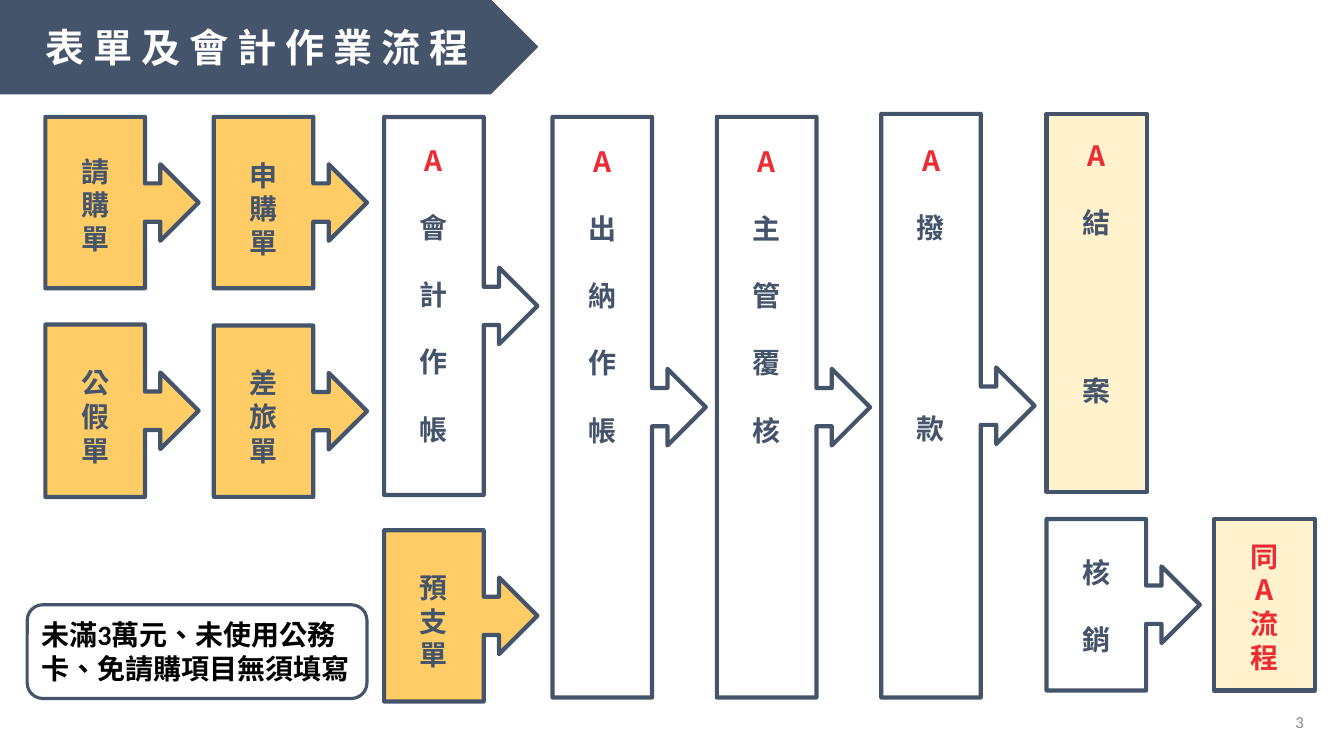
"""Build the slide on forms and the accounting workflow."""
from lxml import etree
from pptx import Presentation
from pptx.dml.color import RGBColor
from pptx.enum.shapes import MSO_SHAPE
from pptx.enum.text import MSO_ANCHOR, PP_ALIGN
from pptx.oxml.ns import qn
from pptx.util import Inches, Pt

COLORS = {"navy": "44546A", "gold": "FFCC66", "cream": "FFF2CC", "white": "FFFFFF",
          "red": "EC2B32", "black": "000000", "gray": "8C8C8C"}
CJK, LATIN = "Noto Sans CJK SC", "Calibri"
TITLE = "表 單 及 會 計 作 業 流 程"
NOTE = ["未滿3萬元、未使用公務", "卡、免請購項目無須填寫"]
PAGE_NUMBER = "3"
ARROW, PLAIN = MSO_SHAPE.RIGHT_ARROW_CALLOUT, MSO_SHAPE.RECTANGLE
WIDTHS = {ARROW: 1.52, PLAIN: 1}
COLUMNS = [0.45, 2.12, 3.81, 5.48, 7.11, 8.74, 10.38, 12.04]
LINE_POINTS = 24
HALF_LINE = 0.15

# shape, column, top, height, fill, first glyph centre, text, red letters, blank lines between
STEPS = [
    (ARROW, 0, 1.16, 1.70, "gold", 1.68, "請購單", 0, (0, 0)),
    (ARROW, 1, 1.16, 1.70, "gold", 1.72, "申購單", 0, (0, 0)),
    (ARROW, 1, 3.23, 1.70, "gold", 3.78, "差旅單", 0, (0, 0)),
    (ARROW, 0, 3.22, 1.71, "gold", 3.78, "公假單", 0, (0, 0)),
    (ARROW, 2, 5.26, 1.70, "gold", 5.81, "預支單", 0, (0, 0)),
    (ARROW, 2, 1.16, 3.75, "white", 1.57, "A會計作帳", 1, (1, 1, 1, 1)),
    (ARROW, 3, 1.16, 5.76, "white", 1.58, "A出納作帳", 1, (1, 1, 1, 1)),
    (ARROW, 4, 1.16, 5.76, "white", 1.58, "A主管覆核", 1, (1, 1, 1, 1)),
    (ARROW, 5, 1.13, 5.79, "white", 1.57, "A撥款", 1, (1, 5)),
    (PLAIN, 6, 1.13, 3.75, "cream", 1.52, "A結案", 1, (1, 4)),
    (ARROW, 6, 5.15, 1.70, "white", 5.66, "核銷", 0, (1,)),
    (PLAIN, 7, 5.15, 1.70, "cream", 5.50, "同A流程", 4, (0, 0, 0)),
]


def color(name):
    return RGBColor.from_string(COLORS[name])


def style(para, size, tint, face, bold=True, align=PP_ALIGN.CENTER):
    para.alignment = align
    for span in para.runs:
        font = span.font
        font.size, font.bold, font.name = Pt(size), bold, face
        font.color.rgb = color(tint)
        properties = span._r.get_or_add_rPr()
        properties.set("lang", "zh-TW")
        etree.SubElement(properties, qn("a:ea")).set("typeface", CJK)


def add_panel(page, kind, place, fill, line_points):
    shape = page.shapes.add_shape(kind, *map(Inches, place))
    shape.shadow.inherit = False
    if fill:
        shape.fill.solid()
        shape.fill.fore_color.rgb = color(fill)
    else:
        shape.fill.background()
    shape.line.color.rgb = color("navy")
    shape.line.width = Pt(line_points)
    return shape


def add_step(page, kind, column, top, height, fill, centre, text, red_letters, gaps):
    place = (COLUMNS[column], top, WIDTHS[kind], height)
    frame = add_panel(page, kind, place, fill, 3).text_frame
    frame.vertical_anchor = MSO_ANCHOR.TOP
    frame.margin_top, frame.margin_bottom = Inches(centre - HALF_LINE - top), 0
    frame.text = "\n".join(text)
    for index, (para, gap) in enumerate(zip(frame.paragraphs, (0, *gaps))):
        para.line_spacing = Pt(LINE_POINTS)
        para.space_before = Pt(gap * LINE_POINTS)
        style(para, 20, "red" if index < red_letters else "navy", CJK)


def add_title(page):
    add_panel(page, MSO_SHAPE.PENTAGON, (0, 0, 5.33, 0.93), "navy", 1)
    title = page.shapes.title
    title.left, title.top, title.width, title.height = map(Inches, (0, 0, 5.1, 0.93))
    page.shapes._spTree.append(title._element)
    frame = title.text_frame
    frame.text = TITLE
    frame.vertical_anchor = MSO_ANCHOR.MIDDLE
    style(frame.paragraphs[0], 28, "white", LATIN)


def add_note(page):
    add_panel(page, MSO_SHAPE.ROUNDED_RECTANGLE, (0.27, 6, 3.37, 0.93), None, 2.25)
    frame = page.shapes.add_textbox(*map(Inches, (0.31, 6.06, 3.29, 0.77))).text_frame
    frame.word_wrap = False
    frame.margin_top = Inches(0.07)
    frame.text = "\n".join(NOTE)
    for para in frame.paragraphs:
        para.line_spacing = Pt(LINE_POINTS)
        style(para, 20, "black", LATIN, align=PP_ALIGN.LEFT)


def add_page_number(page):
    frame = page.shapes.add_textbox(*map(Inches, (10.03, 6.96, 3, 0.4))).text_frame
    frame.word_wrap = True
    frame.vertical_anchor = MSO_ANCHOR.MIDDLE
    frame.text = PAGE_NUMBER
    style(frame.paragraphs[0], 12, "gray", LATIN, False, PP_ALIGN.RIGHT)


def main():
    deck = Presentation()
    deck.slide_width, deck.slide_height = Inches(13.33), Inches(7.5)
    page = deck.slides.add_slide(deck.slide_layouts[5])
    add_title(page)
    for step in STEPS:
        add_step(page, *step)
    add_note(page)
    add_page_number(page)
    deck.save("out.pptx")


if __name__ == "__main__":
    main()
